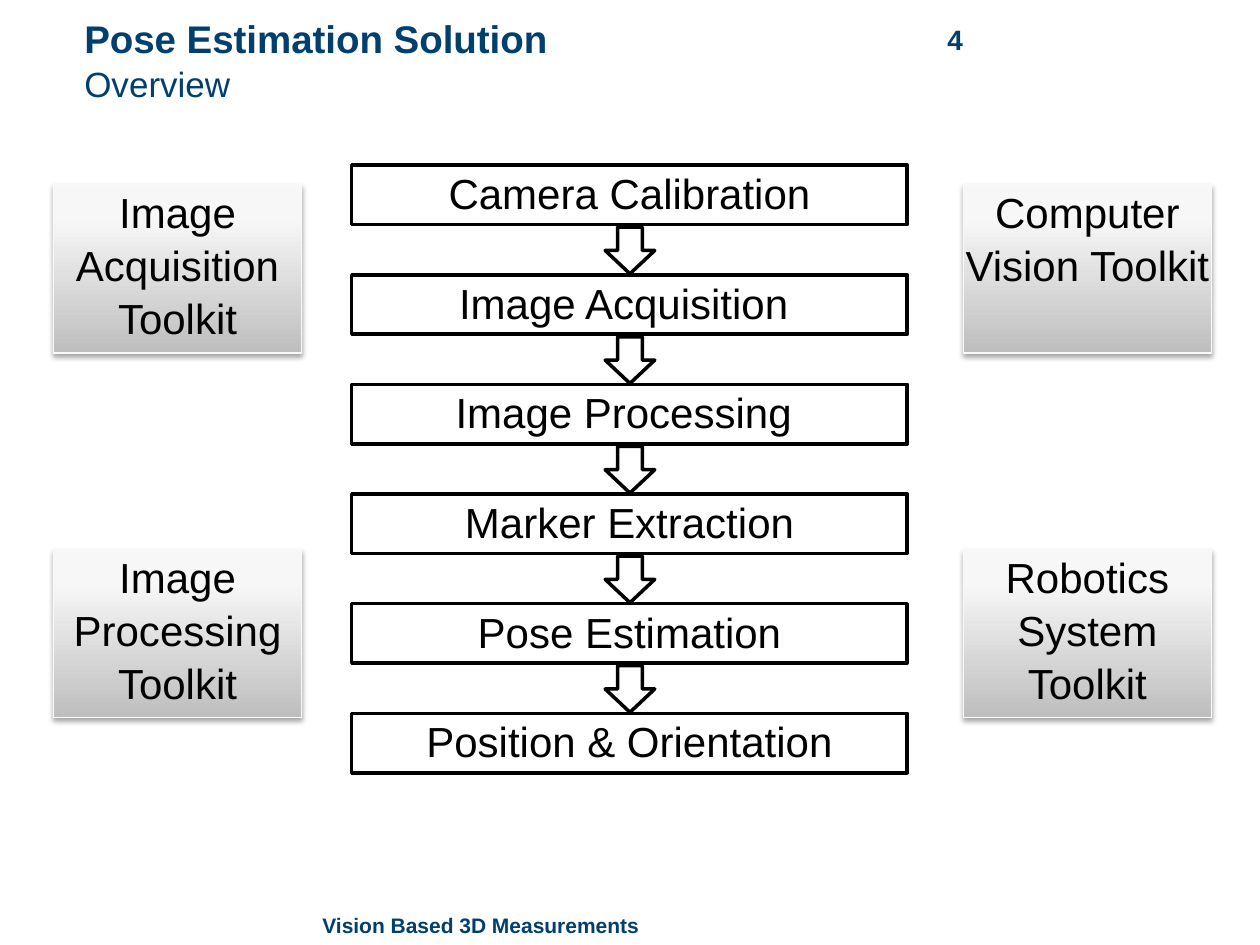
"""Build the pose estimation overview slide with its process chain and toolkits."""
import copy

import pptx
import pptx.dml.color
import pptx.enum.shapes
import pptx.enum.text
import pptx.oxml
import pptx.oxml.ns
import pptx.util

Cm = pptx.util.Cm
Pt = pptx.util.Pt
RGBColor = pptx.dml.color.RGBColor
SHAPE = pptx.enum.shapes.MSO_SHAPE
ALIGN = pptx.enum.text.PP_ALIGN
ANCHOR = pptx.enum.text.MSO_ANCHOR

NAVY = RGBColor(0x00, 0x3F, 0x6E)
BLACK = RGBColor(0x00, 0x00, 0x00)
WHITE = RGBColor(0xFF, 0xFF, 0xFF)
GREY = RGBColor(0xBE, 0xBE, 0xBE)
PALE = RGBColor(0xF7, 0xF7, 0xF7)
LIGHT = RGBColor(0xF8, 0xF8, 0xF8)
EDGE = RGBColor(0xF9, 0xF9, 0xF9)

SHADOW = (
    f'<a:outerShdw {pptx.oxml.ns.nsdecls("a")} blurRad="39370" dist="22860" '
    'dir="5400000" rotWithShape="0"><a:srgbClr val="000000">'
    '<a:alpha val="35000"/></a:srgbClr></a:outerShdw>'
)


def write(box, lines, align, color, inset=0):
    frame = box.text_frame
    frame.word_wrap = True
    frame.vertical_anchor = ANCHOR.TOP
    frame.margin_left = frame.margin_right = Cm(inset)
    frame.margin_top = frame.margin_bottom = Cm(inset / 2)
    for index, (text, size, bold) in enumerate(lines):
        para = frame.add_paragraph() if index else frame.paragraphs[0]
        para.alignment = align
        para.line_spacing = 1.05
        span = para.add_run()
        span.text = text
        span.font.name = "Arial"
        span.font.size = Pt(size)
        span.font.bold = bold
        span.font.color.rgb = color


def add_outlined(page, kind, left, top, width, height, line_color, line_width):
    shape = page.shapes.add_shape(kind, Cm(left), Cm(top), Cm(width), Cm(height))
    shape.shadow.inherit = False
    shape.fill.solid()
    shape.fill.fore_color.rgb = WHITE
    shape.line.color.rgb = line_color
    shape.line.width = Pt(line_width)
    return shape


deck = pptx.Presentation()
deck.slide_width = Cm(25.4)
deck.slide_height = Cm(19.05)
page = deck.slides.add_slide(deck.slide_layouts[6])

title = page.shapes.add_textbox(Cm(1.7), Cm(0.25), Cm(18.2), Cm(2.3))
write(
    title,
    [("Pose Estimation Solution", 22, True), ("Overview", 20, False)],
    ALIGN.LEFT,
    NAVY,
)

page_number = page.shapes.add_textbox(Cm(18.62), Cm(0.43), Cm(0.79), Cm(0.69))
write(page_number, [("4", 16, True)], ALIGN.RIGHT, NAVY)

footer = page.shapes.add_textbox(Cm(0.64), Cm(18.24), Cm(12.5), Cm(0.76))
write(footer, [("Vision Based 3D Measurements", 12, True)], ALIGN.RIGHT, NAVY, 0.25)

steps = [
    "Camera Calibration",
    "Image Acquisition ",
    "Image Processing ",
    "Marker Extraction",
    "Pose Estimation",
    "Position & Orientation",
]
step_top, step_pitch, step_height = 3.33, 2.21, 1.2
for index, name in enumerate(steps):
    top = step_top + index * step_pitch
    if index:
        add_outlined(page, SHAPE.DOWN_ARROW, 12.2, top - 0.96, 1, 0.94, BLACK, 2)
    step = add_outlined(page, SHAPE.RECTANGLE, 7.09, top, 11.2, step_height, BLACK, 2)
    write(step, [(name, 24, False)], ALIGN.CENTER, BLACK)

toolkits = [
    ("Image Acquisition Toolkit", 1.08, 3.72),
    ("Image Processing Toolkit", 1.08, 11.07),
    ("Computer Vision Toolkit", 19.42, 3.72),
    ("Robotics System Toolkit", 19.42, 11.07),
]
for name, left, top in toolkits:
    card = add_outlined(page, SHAPE.RECTANGLE, left, top, 5, 3.4, EDGE, 0.75)
    card.fill.gradient()
    card.fill.gradient_angle = 90
    first, last = card.fill.gradient_stops
    first.color.rgb = GREY
    last.color.rgb = PALE
    properties = card._element.spPr
    end_stop = properties.findall(".//" + pptx.oxml.ns.qn("a:gs"))[-1]
    middle_stop = copy.deepcopy(end_stop)
    middle_stop.set("pos", "80000")
    end_stop.addprevious(middle_stop)
    last.color.rgb = LIGHT
    effects = properties.find(pptx.oxml.ns.qn("a:effectLst"))
    effects.append(pptx.oxml.parse_xml(SHADOW))
    write(card, [(name, 24, False)], ALIGN.CENTER, BLACK)

deck.save("out.pptx")
